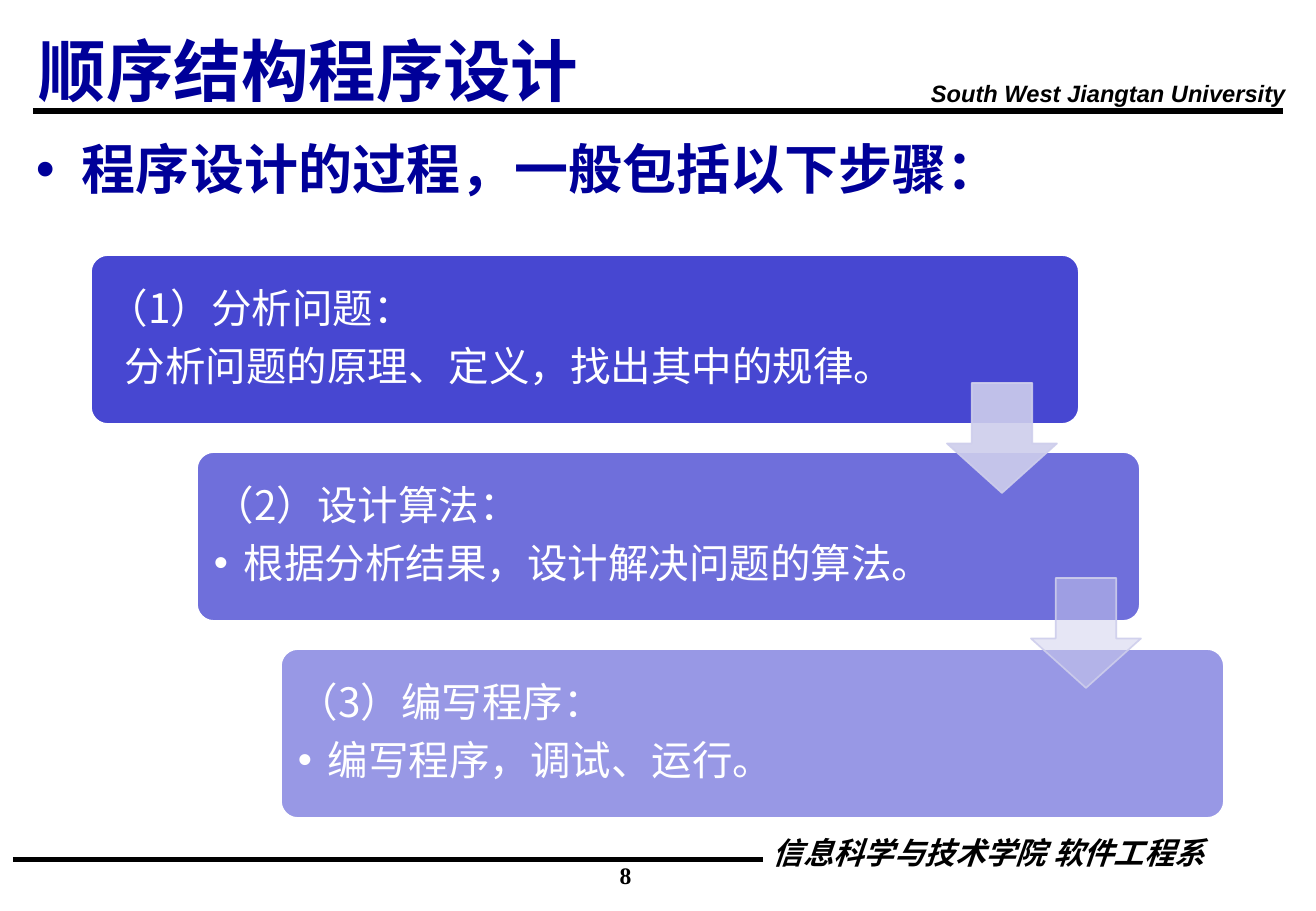
from lxml.etree import SubElement as Sub
from pptx import Presentation
from pptx.dml.color import RGBColor as Rgb
from pptx.enum.shapes import MSO_CONNECTOR as Conn, MSO_SHAPE as Kind
from pptx.enum.text import MSO_ANCHOR as Anchor, PP_ALIGN as Align
from pptx.oxml.ns import qn
from pptx.util import Pt

SCALE = 914400 / 121.5
HUES = {"ink": "000000", "navy": "000099", "step": "3333CC",
        "arrow": "CECEEC", "white": "FFFFFF"}
SANS, SERIF, LATIN = "Noto Sans CJK SC", "Times New Roman", "Arial"


def px(n):
    return round(n * SCALE)


def apply(obj, form):
    for key, val in form.items():
        setattr(obj, key, val)


def tint(fill, hue, alpha=100):
    fill.solid()
    fill.fore_color.rgb = Rgb.from_string(HUES[hue])
    if alpha < 100:
        clr = fill._xPr.find(qn("a:solidFill"))[0]
        Sub(clr, qn("a:alpha"), val=str(alpha * 1000))


def label(slide, box, paras, pad=(12, 6), wrap=True, anchor=Anchor.TOP):
    """Each paragraph is (text, font, hue, run format, paragraph format, indent)."""
    frame = slide.shapes.add_textbox(*map(px, box)).text_frame
    side, top = map(px, pad)
    apply(frame, {"word_wrap": wrap, "vertical_anchor": anchor,
                  "margin_left": side, "margin_right": side,
                  "margin_top": top, "margin_bottom": top})
    for i, (text, face, hue, look, form, dent) in enumerate(paras):
        para = frame.add_paragraph() if i else frame.paragraphs[0]
        apply(para, form)
        run = para.add_run()
        run.text = text
        apply(run.font, {"name": face, **look})
        tint(run.font.fill, hue)
        Sub(run._r.get_or_add_rPr(), qn("a:ea"), typeface=SANS)
        if dent:
            left, first, dot = dent
            props = para._p.get_or_add_pPr()
            props.set("marL", str(px(left)))
            props.set("indent", str(px(first)))
            if dot:
                Sub(props, qn("a:buFont"), typeface=LATIN)
                Sub(props, qn("a:buChar"), char="•")


def block(slide, kind, box, adjs, fill, edge):
    shape = slide.shapes.add_shape(kind, *map(px, box))
    shape.shadow.inherit = False
    for i, adj in enumerate(adjs):
        shape.adjustments[i] = adj
    tint(shape.fill, *fill)
    tint(shape.line.fill, *edge)
    shape.line.width = Pt(1)


def rule(slide, x, y, wide):
    line = slide.shapes.add_connector(
        Conn.STRAIGHT, px(x), px(y), px(x + wide), px(y))
    tint(line.line.fill, "ink")
    line.line.width = Pt(3)
    Sub(line._element.spPr, qn("a:effectLst"))


# Title, rule and school name
def header(slide, box):
    x, y, w, h = box
    rule(slide, x, y + 111, w)
    look = {"size": Pt(14), "bold": True, "italic": True}
    form = {"line_spacing": 0.7, "space_before": Pt(2.8), "alignment": Align.RIGHT}
    label(slide, (x + w - 367, y + 81, 382, 33),
          [("South West Jiangtan University", LATIN, "ink", look, form, None)],
          wrap=False)
    look = {"size": Pt(40), "bold": True}
    label(slide, (x - 6, y, 1119, h),
          [("顺序结构程序设计", SERIF, "navy", look, {}, None)],
          anchor=Anchor.MIDDLE)


# Opening bullet
def intro(slide, box):
    look = {"size": Pt(32), "bold": True}
    label(slide, box, [("程序设计的过程，一般包括以下步骤：", SANS, "navy", look,
                        {"space_before": Pt(6.4)}, (46, -46, True))])


# Staircase of steps joined by arrows
def stairs(slide, box):
    x, y, w, h = box
    high, pitch = 169, 197
    steps = [
        (0, 988, 798, 90, "（1）分析问题：",
         "分析问题的原理、定义，找出其中的规律。", (30, -13, False)),
        (106, 943, 740, 70, "（2）设计算法：",
         "根据分析结果，设计解决问题的算法。", (30, -30, True)),
        (190, 943, 740, 50, "（3）编写程序：",
         "编写程序，调试、运行。", (30, -30, True)),
    ]
    look = {"size": Pt(24)}
    for i, (dx, wide, span, alpha, head, body, dent) in enumerate(steps):
        left, top = x + dx, y + i * pitch
        block(slide, Kind.ROUNDED_RECTANGLE, (left, top, wide, high), [0.1],
              ("step", alpha), ("white",))
        label(slide, (left + 5, top + 5, span, high - 10), [
            (head, SANS, "white", look,
             {"line_spacing": 0.9, "space_after": Pt(8.4)}, None),
            (body, SANS, "white", look,
             {"line_spacing": 0.9, "space_after": Pt(3.6)}, dent),
        ], pad=(12, 12), anchor=Anchor.MIDDLE)
    for dx, dy, alpha in [(856, 128, 90), (940, 323, 50)]:
        block(slide, Kind.DOWN_ARROW, (x + dx, y + dy, 110, 110), [0.55, 0.45],
              ("arrow", alpha), ("arrow", 90))


# Rule, department and page number
def footer(slide, box):
    x, y, w, h = box
    rule(slide, x, y + 22, 750)
    look = {"size": Pt(18), "bold": True, "italic": True}
    form = {"line_spacing": 0.7, "space_before": Pt(3.6), "alignment": Align.RIGHT}
    label(slide, (x + w - 577, y, 577, 38),
          [("信息科学与技术学院 软件工程系", SANS, "ink", look, form, None)])
    label(slide, (x + 404, y + 17, 417, 40),
          [("8", SERIF, "ink", {"size": Pt(14), "bold": True},
            {"alignment": Align.CENTER}, None)])


deck = Presentation()
apply(deck, {"slide_width": px(1316), "slide_height": px(911)})
page = deck.slides.add_slide(deck.slide_layouts[6])
header(page, (33, 0, 1250, 139))
footer(page, (13, 838, 1204, 57))
intro(page, (24, 130, 1186, 124))
stairs(page, (91, 255, 1133, 563))
deck.save("out.pptx")
